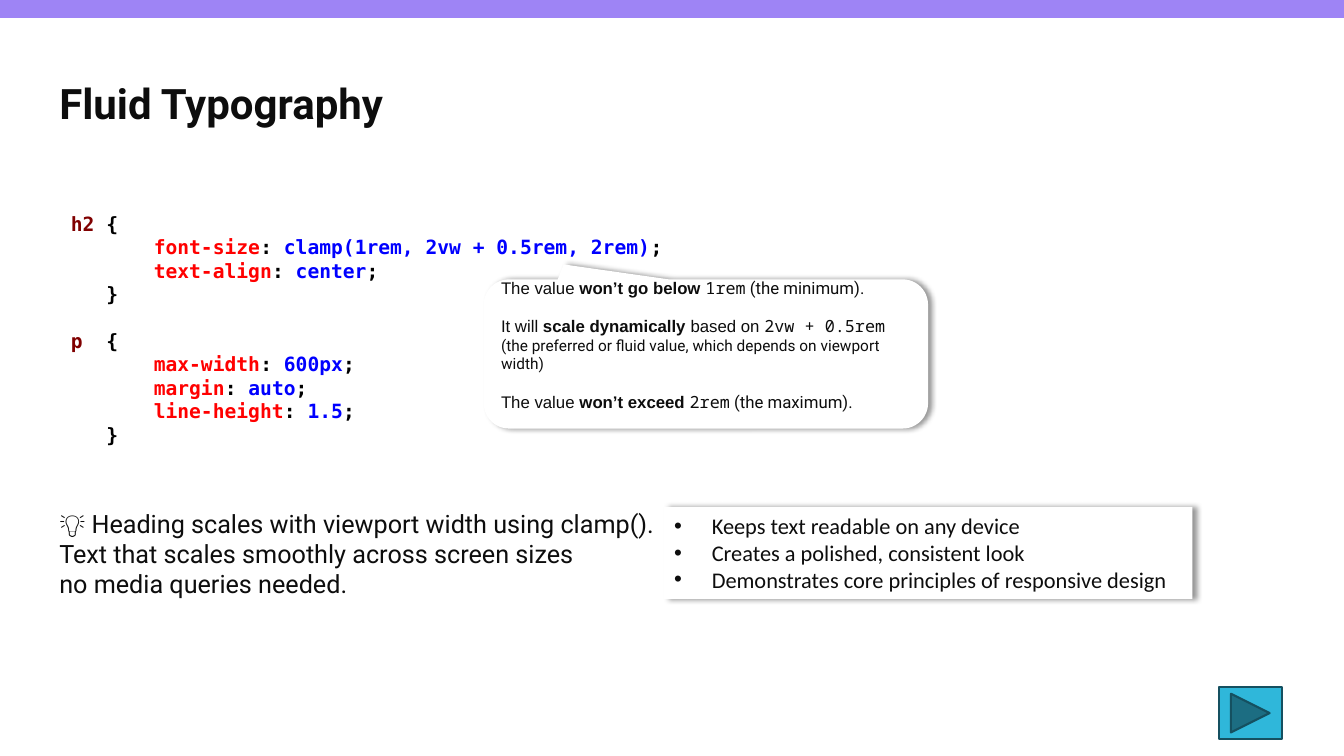
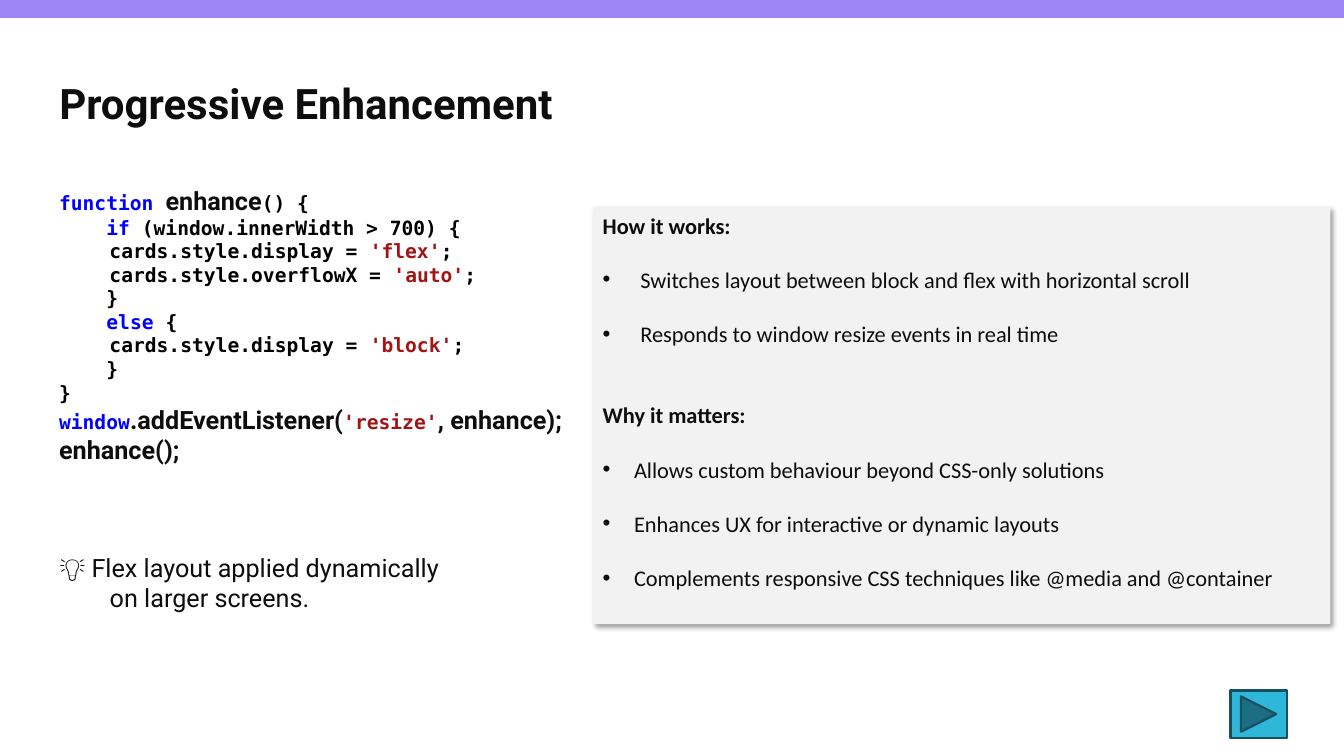
from lxml.etree import SubElement
from pptx import Presentation
from pptx.dml.color import RGBColor
from pptx.enum.shapes import MSO_SHAPE
from pptx.enum.text import MSO_ANCHOR, MSO_AUTO_SIZE, PP_ALIGN
from pptx.oxml.ns import qn
from pptx.util import Cm, Pt

COLORS = {
    "band": "9E84F5",
    "ink": "0D0D0D",
    "code": "000000",
    "selector": "800000",
    "property": "FF0000",
    "keyword": "0000FF",
    "string": "A31515",
    "white": "FFFFFF",
    "grey": "F2F2F2",
    "button": "2FB7DA",
    "button_line": "155060",
    "shadow": "000000",
}
LEFT = 1.24
CODE_LINE = 16.4
PANEL_LINE = 19.5

TITLE = {"name": "Roboto", "size": 30, "color": "ink", "bold": True}
BODY = {"name": "Roboto", "size": 18, "color": "ink", "bold": False}
CODE = {"name": "DejaVu Sans Mono", "size": 14, "color": "code", "bold": True}
PANEL = {"name": "Calibri", "size": 16, "color": "ink", "bold": False}
HEADING = {**PANEL, "bold": True}
CALLOUT = {"name": "Arial", "size": 12, "color": "ink", "bold": False}
CALLOUT_NOTE = {**CALLOUT, "name": "Roboto", "size": 11}

STRONG = {"bold": True}
MONO = {"name": "Noto Sans Mono"}
ROBOTO = {"name": "Roboto"}
ROBOTO_LARGE = {"name": "Roboto", "size": 18, "color": "ink"}
SELECTOR = {"color": "selector"}
PROPERTY = {"color": "property"}
KEYWORD = {"color": "keyword"}
STRING = {"color": "string"}


def rgb(name):
    return RGBColor.from_string(COLORS[name])


def set_font(font, name=None, size=None, color=None, bold=None):
    if name:
        font.name = name
    if size:
        font.size = Pt(size)
    if color:
        font.color.rgb = rgb(color)
    if bold is not None:
        font.bold = bold


def set_bullet(paragraph, indent):
    properties = paragraph._p.get_or_add_pPr()
    properties.set("marL", str(Cm(indent)))
    properties.set("indent", str(-Cm(indent)))
    if indent:
        SubElement(properties, qn("a:buFont"), typeface="Arial")
        SubElement(properties, qn("a:buChar"), char="•")
    else:
        SubElement(properties, qn("a:buNone"))


def write(frame, lines, style):
    frame.word_wrap = True
    frame.auto_size = MSO_AUTO_SIZE.NONE
    for number, line in enumerate(lines):
        paragraph = frame.paragraphs[0] if number == 0 else frame.add_paragraph()
        set_bullet(paragraph, line.get("indent", 0))
        paragraph.alignment = PP_ALIGN.LEFT
        paragraph.space_before = Pt(line.get("before", 0))
        set_font(paragraph.font, **line.get("style", style))
        for text, options in line["spans"]:
            span = paragraph.add_run()
            span.text = text
            set_font(span.font, **options)


def row(*parts, **settings):
    spans = [(part, {}) if isinstance(part, str) else part for part in parts]
    return {"spans": spans, **settings}


def declaration(name, value):
    return row("        ", (name, PROPERTY), ": ", (value, KEYWORD), ";")


def place(shape, left, top, width, height):
    shape.left, shape.top = Cm(left), Cm(top)
    shape.width, shape.height = Cm(width), Cm(height)


def add_shape(page, kind, at, fill, line=None):
    shape = page.shapes.add_shape(kind, *map(Cm, at))
    shape.shadow.inherit = False
    shape.fill.solid()
    shape.fill.fore_color.rgb = rgb(fill)
    if line:
        shape.line.color.rgb = rgb(line)
        shape.line.width = Pt(1.5)
    else:
        shape.line.fill.background()
    return shape


def add_panel(page, kind, at, fill, lines, style, anchor, angle=0):
    panel = add_shape(page, kind, at, fill)
    effects = panel._element.spPr.find(qn("a:effectLst"))
    shadow = SubElement(effects, qn("a:outerShdw"), blurRad=str(Pt(4)),
                        dist=str(Pt(3)), dir=str(angle * 60000),
                        algn="l", rotWithShape="0")
    color = SubElement(shadow, qn("a:srgbClr"), val=COLORS["shadow"])
    SubElement(color, qn("a:alpha"), val="40000")
    panel.text_frame.vertical_anchor = anchor
    write(panel.text_frame, lines, style)
    return panel


def add_code(page, at, lines):
    box = page.shapes.add_textbox(*map(Cm, at))
    write(box.text_frame, lines, CODE)


def add_next_button(page, at):
    add_shape(page, MSO_SHAPE.ACTION_BUTTON_FORWARD_OR_NEXT, at,
              "button", "button_line")


def add_page(deck, title, body_at, body_lines):
    page = deck.slides.add_slide(deck.slide_layouts[1])
    heading, body = page.placeholders
    place(heading, LEFT, 1.4, 30, 2.39)
    heading.text_frame.vertical_anchor = MSO_ANCHOR.MIDDLE
    write(heading.text_frame, [row(title)], TITLE)
    place(body, *body_at)
    write(body.text_frame, [row(line) for line in body_lines], BODY)
    return page


def add_master_band(deck, page):
    band = add_shape(page, MSO_SHAPE.RECTANGLE, (0, 0, 33.87, 0.45), "band")
    deck.slide_master.shapes.element.insert(2, band._element)


def build_typography(deck):
    page = add_page(deck, "Fluid Typography", (LEFT, 12.67, 16, 2.8), [
        "💡 Heading scales with viewport width using clamp().",
        "Text that scales smoothly across screen sizes",
        "no media queries needed.",
    ])
    add_code(page, (LEFT, 5.21, 16.94, 6.4), [
        row(" ", ("h2", SELECTOR), " {"),
        declaration("font-size", "clamp(1rem, 2vw + 0.5rem, 2rem)"),
        declaration("text-align", "center"),
        row("    }"),
        row((" p", SELECTOR), "  {", before=CODE_LINE),
        declaration("max-width", "600px"),
        declaration("margin", "auto"),
        declaration("line-height", "1.5"),
        row("    }"),
    ])
    callout = add_panel(
        page, MSO_SHAPE.ROUNDED_RECTANGULAR_CALLOUT, (12.19, 7.04, 11.2, 3.76),
        "white", [
            row("The value ", ("won’t go below ", STRONG), ("1rem", MONO),
                (" (the minimum).", ROBOTO)),
            row("It will ", ("scale dynamically", STRONG), " based on ",
                ("2vw + 0.5rem", MONO), before=13),
            row("(the preferred or fluid value, which depends on viewport width)",
                style=CALLOUT_NOTE),
            row("The value ", ("won’t exceed ", STRONG), ("2rem", MONO),
                (" (the maximum).", ROBOTO), before=13),
        ], CALLOUT, MSO_ANCHOR.MIDDLE)
    for index, value in enumerate((-0.32, -0.6, 0.17)):
        callout.adjustments[index] = value
    callout.text_frame.margin_bottom = Cm(0.6)
    benefits = [
        "Keeps text readable on any device",
        "Creates a polished, consistent look",
        "Demonstrates core principles of responsive design",
    ]
    add_panel(page, MSO_SHAPE.RECTANGLE, (16.74, 12.78, 13.31, 2.31), "white",
              [row(text, indent=0.95) for text in benefits],
              PANEL, MSO_ANCHOR.TOP)
    add_next_button(page, (30.71, 17.32, 1.6, 1.3))
    return page


def build_enhancement(deck):
    page = add_page(deck, "Progressive Enhancement", (LEFT, 13.79, 13, 2.2), [
        "💡 Flex layout applied dynamically",
        "\ton larger screens.",
    ])
    add_code(page, (LEFT, 4.55, 13.6, 7.34), [
        row(("function ", KEYWORD), ("enhance", ROBOTO_LARGE), "() {"),
        row("    ", ("if", KEYWORD), " (window.innerWidth > 700) {"),
        row("\tcards.style.display = ", ("'flex'", STRING), ";"),
        row("\tcards.style.overflowX = ", ("'auto'", STRING), ";"),
        row("    }"),
        row("    ", ("else", KEYWORD), " {"),
        row("\tcards.style.display = ", ("'block'", STRING), ";"),
        row("    }"),
        row("}"),
        row(("window", KEYWORD), (".addEventListener(", ROBOTO_LARGE),
            ("'resize'", STRING), (", enhance);", ROBOTO_LARGE)),
        row("enhance();", style={**BODY, "bold": True}),
    ])
    sections = [
        ("How it works:", 0, 0.95, [
            "Switches layout between block and flex with horizontal scroll",
            "Responds to window resize events in real time",
        ]),
        ("Why it matters:", 2 * PANEL_LINE, 0.79, [
            "Allows custom behaviour beyond CSS-only solutions",
            "Enhances UX for interactive or dynamic layouts",
            "Complements responsive CSS techniques like @media and @container",
        ]),
    ]
    lines = []
    for heading, before, indent, points in sections:
        lines.append(row(heading, before=before, style=HEADING))
        lines += [row(point, indent=indent, before=PANEL_LINE) for point in points]
    add_panel(page, MSO_SHAPE.RECTANGLE, (14.94, 5.21, 18.59, 10.52), "grey",
              lines, PANEL, MSO_ANCHOR.TOP, angle=45)
    add_next_button(page, (31.01, 17.4, 1.42, 1.19))


def main():
    deck = Presentation()
    deck.slide_width, deck.slide_height = Cm(33.87), Cm(19.05)
    first_page = build_typography(deck)
    add_master_band(deck, first_page)
    build_enhancement(deck)
    deck.save("out.pptx")


if __name__ == "__main__":
    main()
